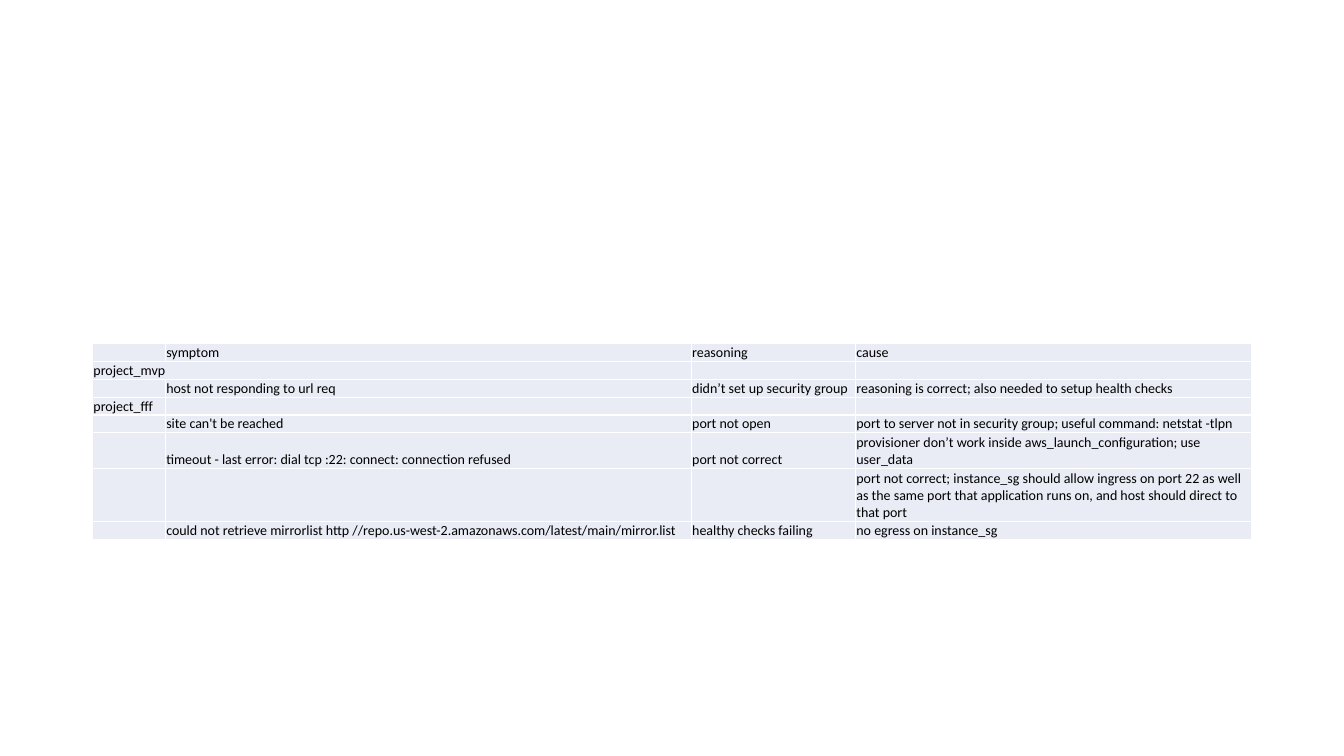
from pptx import Presentation
from pptx.dml.color import RGBColor
from pptx.enum.text import MSO_ANCHOR
from pptx.oxml.ns import qn
from pptx.util import Pt
from lxml.etree import SubElement

ROWS = [
    ("", "symptom", "reasoning", "cause"),
    ("project_mvp", "", "", ""),
    ("", "host not responding to url req", "didn’t set up security group",
     "reasoning is correct; also needed to setup health checks"),
    ("project_fff", "", "", ""),
    ("", "site can't be reached", "port not open",
     "port to server not in security group; useful command: netstat -tlpn"),
    ("", "timeout - last error: dial tcp :22: connect: connection refused",
     "port not correct",
     "provisioner don’t work inside aws_launch_configuration; use user_data"),
    ("", "", "",
     "port not correct; instance_sg should allow ingress on port 22 as well as "
     "the same port that application runs on, and host should direct to that port"),
    ("", "could not retrieve mirrorlist "
     "http //repo.us-west-2.amazonaws.com/latest/main/mirror.list",
     "healthy checks failing", "no egress on instance_sg"),
]
LINES = [1, 1, 1, 1, 1, 2, 3, 1]
LINE_HEIGHT = 12.7
WIDTHS = [52, 375.7, 117.3, 283]
LEFT, TOP = 66.3, 245.6
FILL, BORDER, INK = "E9EBF5", "FFFFFF", "000000"


def color(value):
    return RGBColor.from_string(value)


def write(cell, text, size=10, font="Calibri", ink=INK):
    cell.margin_left = cell.margin_right = cell.margin_top = Pt(0.5)
    cell.margin_bottom = Pt(0)
    cell.vertical_anchor = MSO_ANCHOR.BOTTOM
    p = cell.text_frame.paragraphs[0]
    if text:
        r = p.add_run()
        r.text = text
        r.font.size = Pt(size)
        r.font.name = font
        r.font.color.rgb = color(ink)
    else:
        SubElement(p._p, qn("a:endParaRPr"), sz=str(size * 100))


def paint(cell, fill, border):
    tc_pr = cell._tc.get_or_add_tcPr()
    for side in ("lnL", "lnR", "lnT", "lnB"):
        ln = SubElement(tc_pr, qn("a:" + side), w=str(Pt(1)))
        SubElement(SubElement(ln, qn("a:solidFill")), qn("a:srgbClr"), val=border)
    cell.fill.solid()
    cell.fill.fore_color.rgb = color(fill)


prs = Presentation()
prs.slide_width, prs.slide_height = Pt(960), Pt(540)
s = prs.slides.add_slide(prs.slide_layouts[6])
table = s.shapes.add_table(
    len(ROWS), len(WIDTHS), Pt(LEFT), Pt(TOP),
    Pt(sum(WIDTHS)), Pt(sum(LINES) * LINE_HEIGHT)).table
table.first_row = table.horz_banding = False

for column, width in zip(table.columns, WIDTHS):
    column.width = Pt(width)
for row, lines, texts in zip(table.rows, LINES, ROWS):
    row.height = Pt(lines * LINE_HEIGHT)
    for cell, text in zip(row.cells, texts):
        write(cell, text)
        paint(cell, FILL, BORDER)
table.cell(1, 0).merge(table.cell(1, 1))

prs.save("out.pptx")
